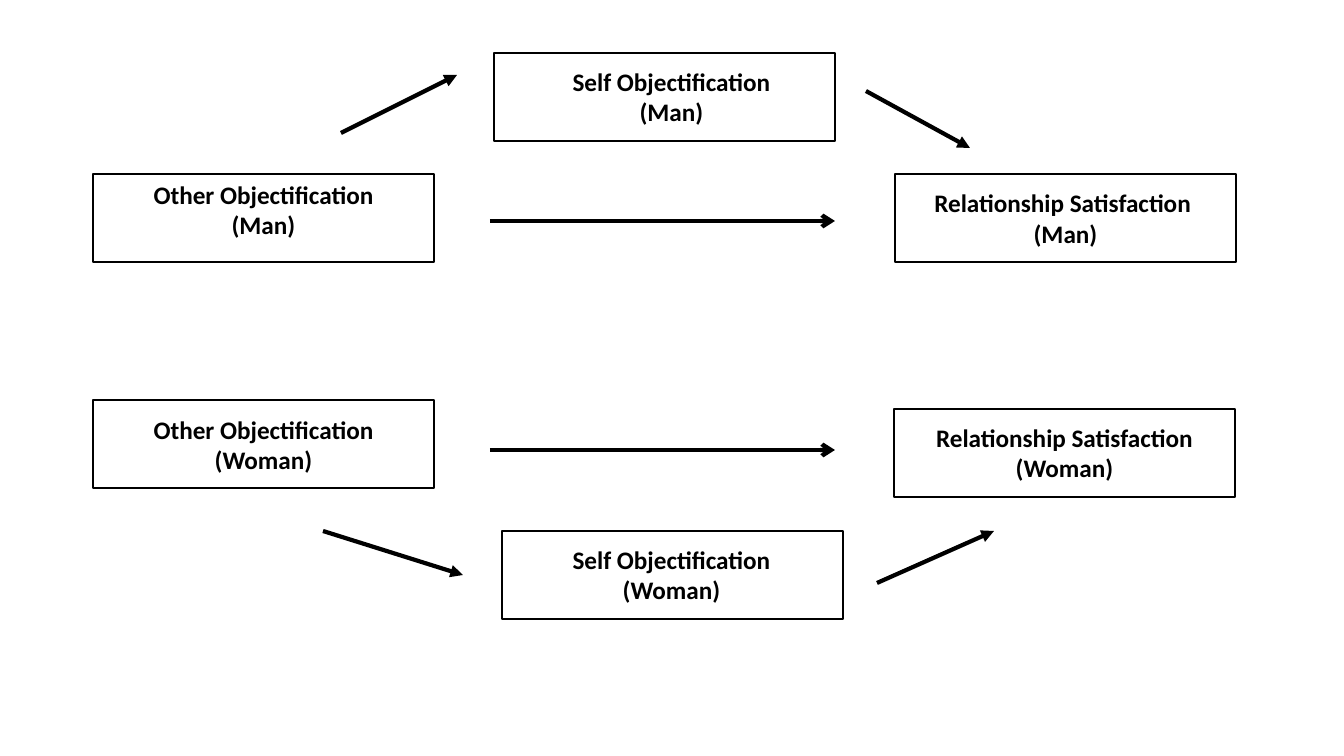
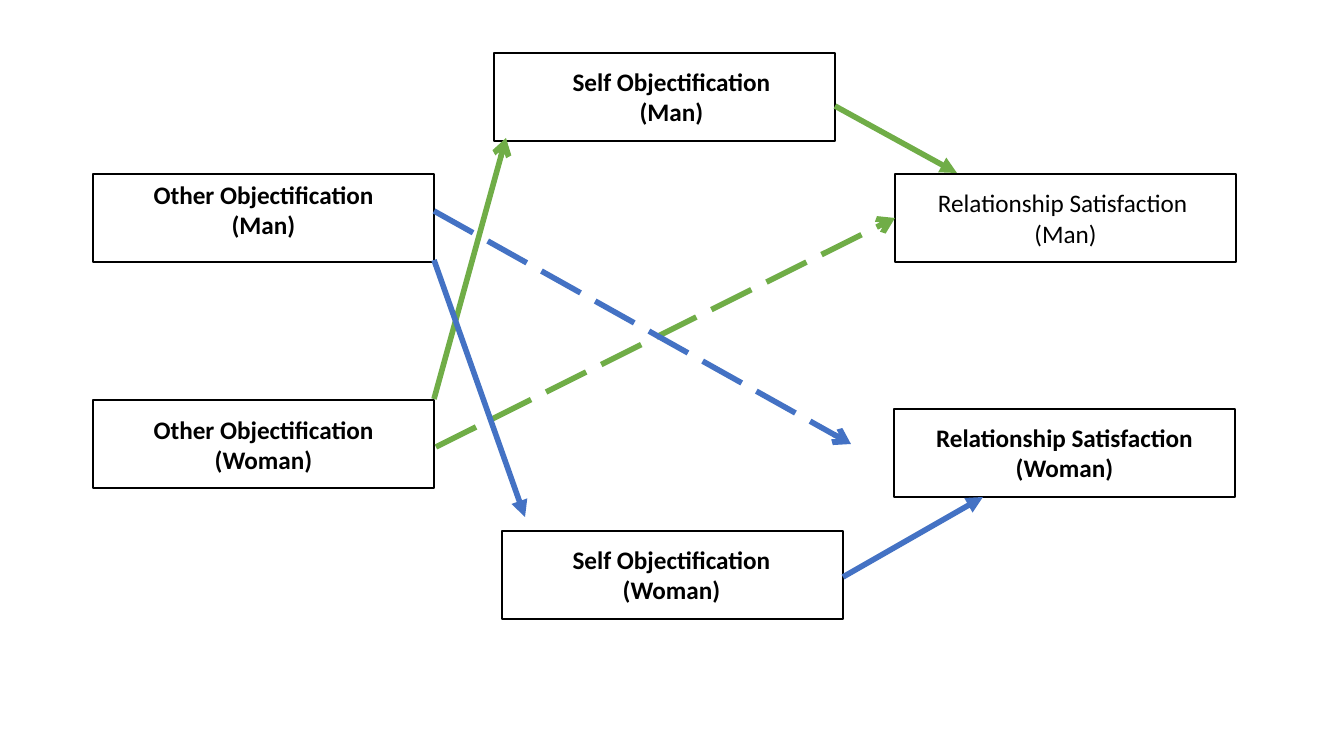
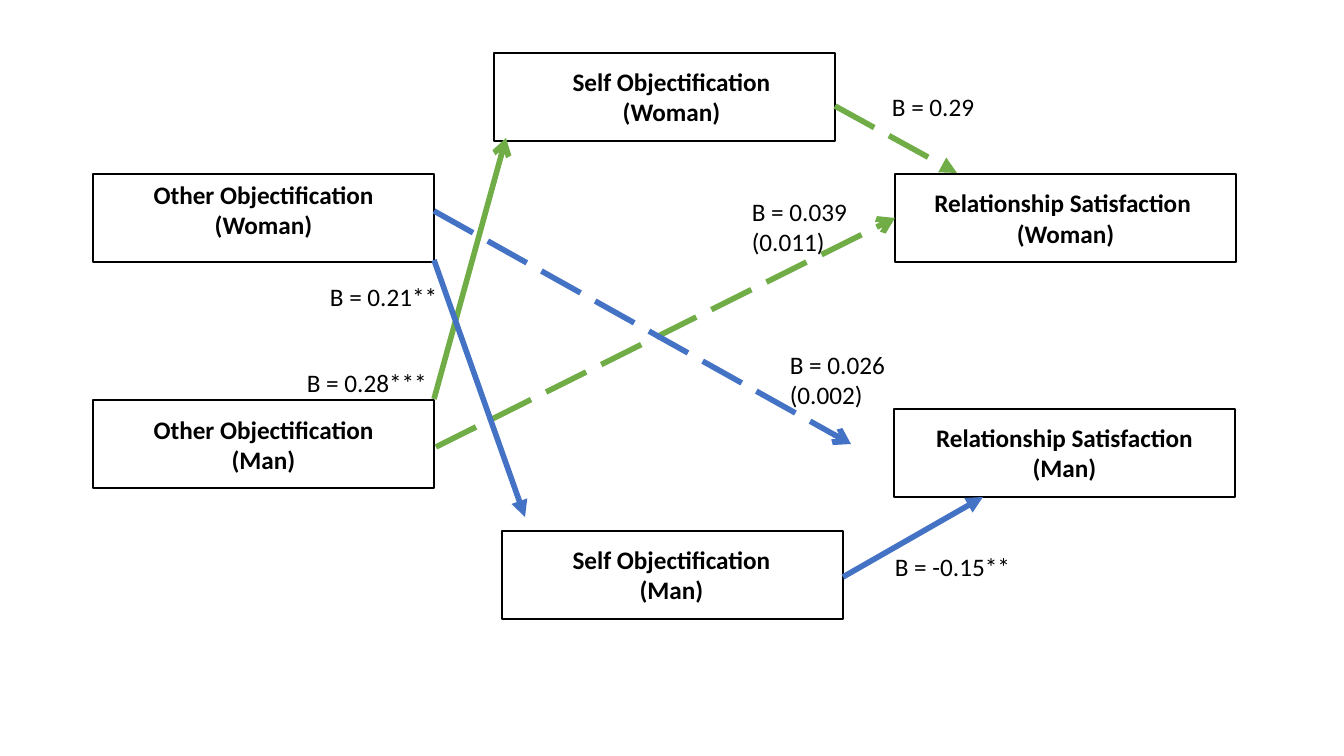
import dataclasses

import pptx
import pptx.dml.color
import pptx.enum.dml
import pptx.enum.shapes
import pptx.enum.text
import pptx.oxml.ns
import pptx.util
from lxml import etree

EMU_PER_PIXEL = 914400 / 100.8


@dataclasses.dataclass(frozen=True)
class Theme:
    """Colours, type and line weights shared by every slide."""
    ink: str = "000000"
    green: str = "70AD47"
    blue: str = "4472C4"
    font: str = "Calibri"
    text_size: int = 18
    box_line: int = 1
    actor_line: int = 3
    partner_line: int = 4


def px(length):
    """Turn picture pixels into EMU."""
    return pptx.util.Emu(round(length * EMU_PER_PIXEL))


def rgb(value):
    """Turn a hex string into a colour."""
    return pptx.dml.color.RGBColor.from_string(value)


def assign(target, values):
    """Set every named value on the target."""
    for name, value in values.items():
        setattr(target, name, value)


class Diagram:
    """Draws the parts of a path diagram on the current slide."""

    def __init__(self, theme):
        """Open an empty widescreen deck."""
        self.theme = theme
        self.deck = pptx.Presentation()
        self.slide = None
        assign(self.deck, {"slide_width": px(1344), "slide_height": px(756)})

    def new_slide(self):
        """Start a blank slide."""
        self.slide = self.deck.slides.add_slide(self.deck.slide_layouts[6])

    def fill_text(self, frame, lines, bold, align):
        """Fill a text frame with one paragraph per line."""
        frame.text = "\n".join(lines)
        for paragraph in frame.paragraphs:
            paragraph.alignment = align
            assign(paragraph.font, {
                "name": self.theme.font,
                "size": pptx.util.Pt(self.theme.text_size),
                "bold": bold,
            })
            paragraph.font.color.rgb = rgb(self.theme.ink)

    def box(self, left, top):
        """Draw one outlined variable box."""
        outline = self.slide.shapes.add_shape(
            pptx.enum.shapes.MSO_SHAPE.RECTANGLE,
            px(left), px(top), px(341), px(88))
        outline.shadow.inherit = False
        outline.fill.background()
        outline.line.color.rgb = rgb(self.theme.ink)
        outline.line.width = pptx.util.Pt(self.theme.box_line)
        return outline

    def label(self, place, lines, bold=False, wrap=False,
              align=pptx.enum.text.PP_ALIGN.LEFT):
        """Place free text that fits its own height."""
        caption = self.slide.shapes.add_textbox(*map(px, place))
        self.fill_text(caption.text_frame, lines, bold, align)
        assign(caption.text_frame, {
            "word_wrap": wrap,
            "auto_size": pptx.enum.text.MSO_AUTO_SIZE.SHAPE_TO_FIT_TEXT,
        })

    def arrow(self, start, end, color, weight, head, dashed=False):
        """Draw a straight arrow, solid or dashed."""
        effect = self.slide.shapes.add_connector(
            pptx.enum.shapes.MSO_CONNECTOR.STRAIGHT,
            *map(px, start + end))
        effect.line.color.rgb = rgb(color)
        effect.line.width = pptx.util.Pt(weight)
        if dashed:
            effect.line.dash_style = pptx.enum.dml.MSO_LINE.LONG_DASH
        properties = effect._element.spPr
        tip = etree.SubElement(
            properties.find(pptx.oxml.ns.qn("a:ln")),
            pptx.oxml.ns.qn("a:tailEnd"))
        tip.set("type", head)
        etree.SubElement(properties, pptx.oxml.ns.qn("a:effectLst"))

    def variables(self, upper, lower, upper_outcome_bold=True):
        """Draw the six variables, one partner above the other."""
        center = pptx.enum.text.PP_ALIGN.CENTER
        for corner in BOXES:
            self.box(*corner)
        outcome = self.box(895, 174)
        self.fill_text(outcome.text_frame,
                       ["Relationship Satisfaction ", f"({upper})"],
                       upper_outcome_bold, center)
        outcome.text_frame.vertical_anchor = pptx.enum.text.MSO_ANCHOR.MIDDLE
        partners = {"upper": upper, "lower": lower}
        for variable, row, place, wrap in VARIABLE_LABELS:
            self.label(place, [variable, f"({partners[row]})"],
                       True, wrap, center)

    def partner_effects(self, dashed_mediator=False):
        """Draw the effects that cross between partners."""
        green, blue = self.theme.green, self.theme.blue
        for start, end, color, head, dashed in (
            ((434, 399), (506, 138), green, "arrow", False),
            ((436, 447), (895, 218), green, "arrow", True),
            ((843, 577), (983, 497), blue, "triangle", False),
            ((835, 106), (957, 173), green, "triangle", dashed_mediator),
            ((434, 260), (525, 517), blue, "triangle", False),
            ((434, 211), (851, 444), blue, "arrow", True),
        ):
            self.arrow(start, end, color, self.theme.partner_line,
                       head, dashed)


BOXES = ((494, 53), (93, 174), (502, 531), (93, 400), (894, 409))

VARIABLE_LABELS = (
    ("Other Objectification", "upper", (142, 174, 243, 102), False),
    ("Other Objectification", "lower", (93, 409, 341, 72), True),
    ("Relationship Satisfaction", "lower", (866, 417, 397, 72), True),
    ("Self Objectification", "upper", (473, 61, 397, 72), True),
    ("Self Objectification", "lower", (473, 539, 397, 72), True),
)

ACTOR_EFFECTS = (
    ((490, 221), (835, 221), "arrow"),
    ((490, 450), (835, 450), "arrow"),
    ((877, 583), (994, 531), "triangle"),
    ((866, 91), (970, 148), "triangle"),
    ((341, 133), (457, 75), "triangle"),
    ((323, 531), (463, 575), "triangle"),
)

COEFFICIENTS = (
    ((882, 86, 179, 40), ["B = 0.29"], True),
    ((742, 191, 117, 72), ["B = 0.039", "(0.011)"], False),
    ((780, 344, 117, 72), ["B = 0.026", "(0.002)"], False),
    ((885, 546, 137, 40), ["B = -0.15**"], False),
    ((320, 276, 129, 40), ["B = 0.21**"], False),
    ((297, 362, 142, 40), ["B = 0.28***"], False),
)


def main():
    """Build and save the three path diagrams."""
    theme = Theme()
    diagram = Diagram(theme)

    diagram.new_slide()
    diagram.variables("Man", "Woman")
    for start, end, head in ACTOR_EFFECTS:
        diagram.arrow(start, end, theme.ink, theme.actor_line, head)

    diagram.new_slide()
    diagram.variables("Man", "Woman", upper_outcome_bold=False)
    diagram.partner_effects()

    diagram.new_slide()
    diagram.variables("Woman", "Man")
    diagram.partner_effects(dashed_mediator=True)
    for place, lines, wrap in COEFFICIENTS:
        diagram.label(place, lines, wrap=wrap)

    diagram.deck.save("out.pptx")


main()
